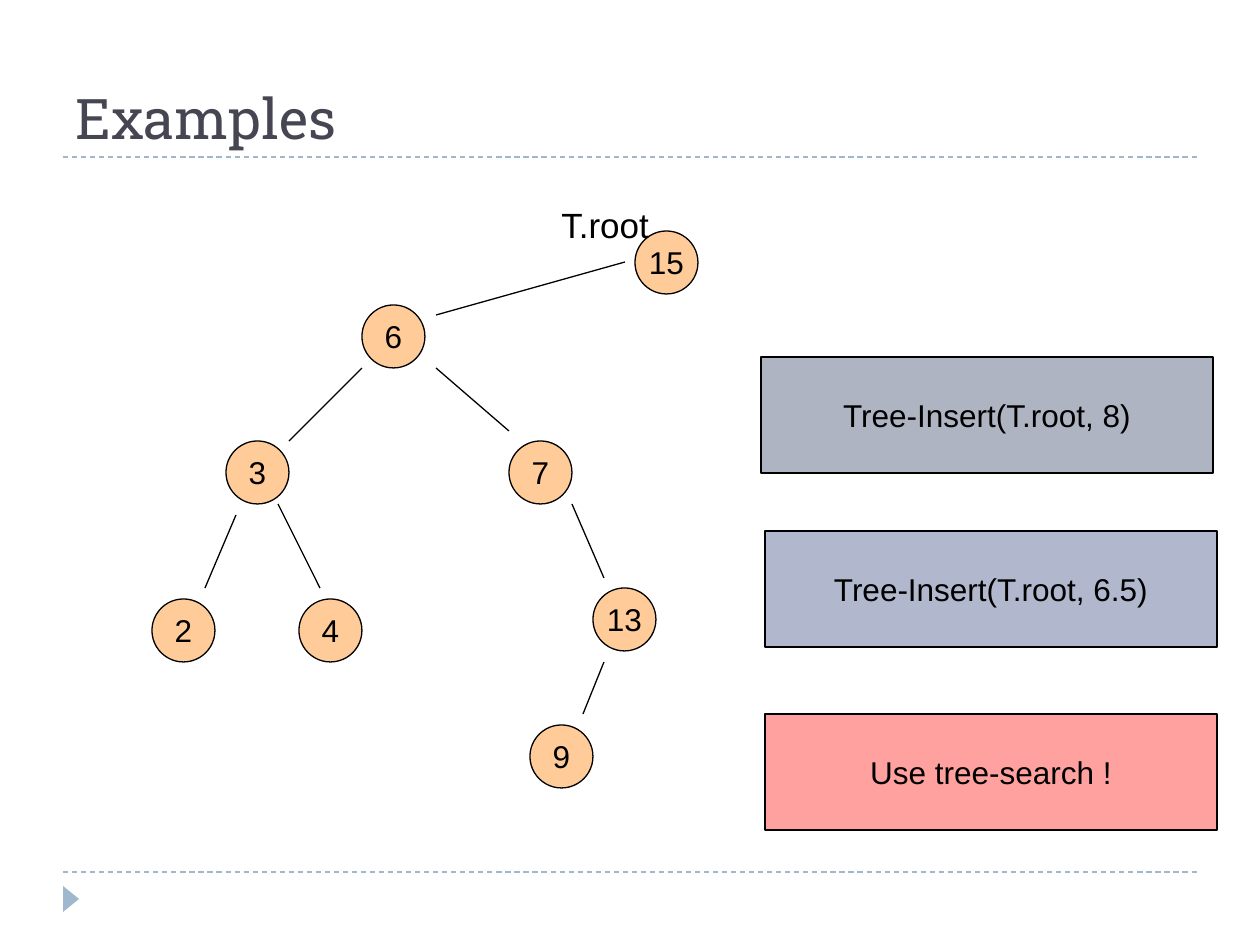
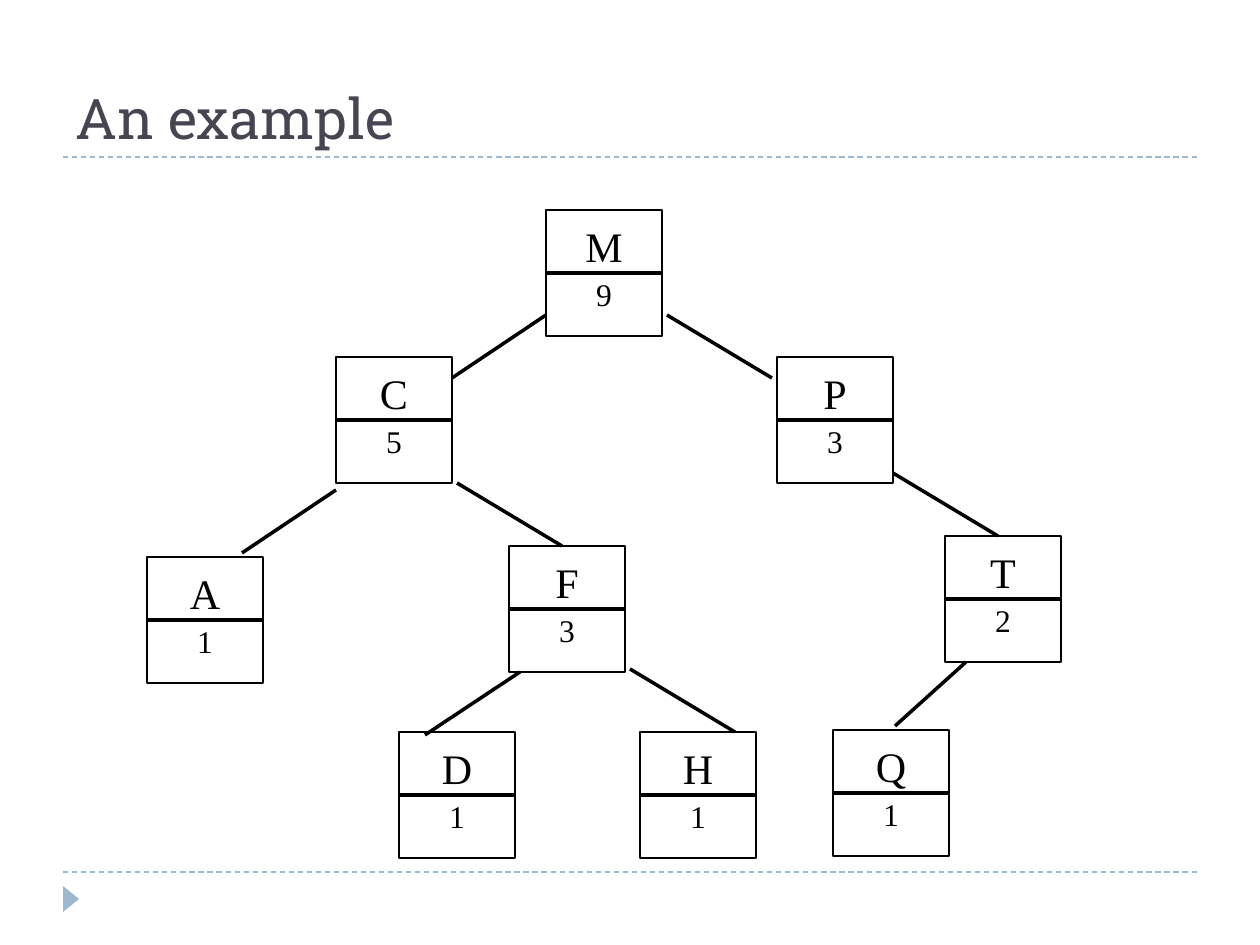
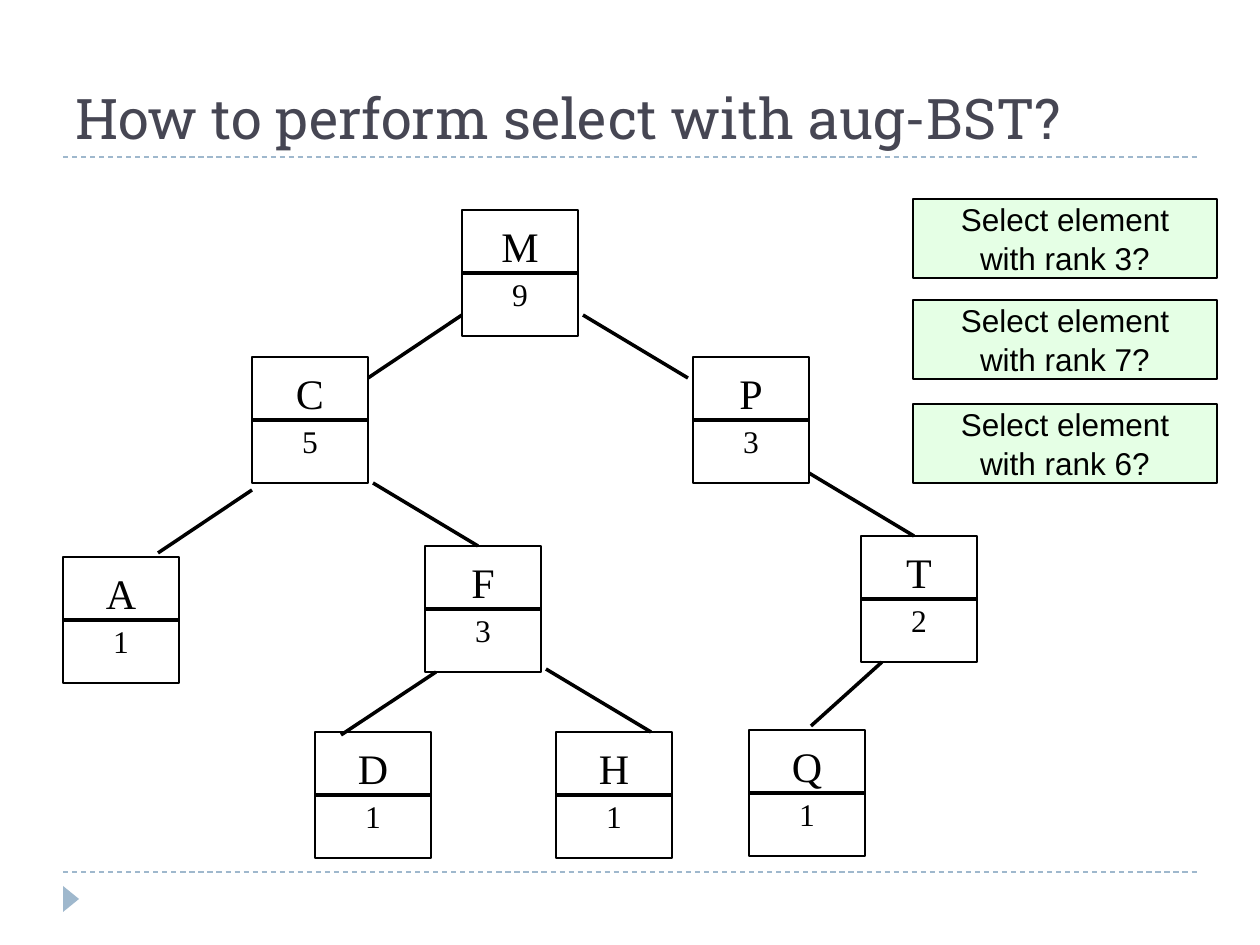
from dataclasses import dataclass

from lxml import etree
from pptx import Presentation
from pptx.dml.color import RGBColor
from pptx.enum.dml import MSO_LINE_DASH_STYLE
from pptx.enum.shapes import MSO_CONNECTOR, MSO_SHAPE
from pptx.enum.text import MSO_ANCHOR, PP_ALIGN
from pptx.oxml.ns import qn
from pptx.util import Pt

STRAIGHT = MSO_CONNECTOR.STRAIGHT
DASH = MSO_LINE_DASH_STYLE.DASH
RECTANGLE, OVAL, TRIANGLE = (
    MSO_SHAPE.RECTANGLE, MSO_SHAPE.OVAL, MSO_SHAPE.ISOSCELES_TRIANGLE)
TOP, MIDDLE, BOTTOM = MSO_ANCHOR.TOP, MSO_ANCHOR.MIDDLE, MSO_ANCHOR.BOTTOM
LEFT, CENTER = PP_ALIGN.LEFT, PP_ALIGN.CENTER
LEFT_SIDE, RIGHT_SIDE = 1, 3
PX_PER_INCH = 126


@dataclass(frozen=True)
class Theme:
    title: str = "464653"
    accent: str = "9FB8CD"
    ink: str = "000000"
    paper: str = "FFFFFF"
    node: str = "FFCC99"
    insert_grey: str = "6E7792"
    insert_blue: str = "727CA3"
    hint: str = "FF5751"
    question: str = "CCFFCC"
    title_font: str = "Roboto Slab"
    body_font: str = "Arial"
    key_font: str = "Times New Roman"
    title_size: int = 32
    key_size: int = 24
    label_size: int = 20
    body_size: int = 18
    thin: float = 0.75
    outline: float = 1.5
    thick: float = 2


THEME = Theme()

# Search tree: key -> left, top
SEARCH_NODES = {
    "15": (635, 231), "3": (226, 441), "2": (152, 599), "6": (362, 305),
    "4": (299, 599), "7": (509, 441), "13": (593, 588), "9": (530, 725),
}
SEARCH_EDGES = [
    (625, 262, 436, 315), (362, 368, 289, 441), (236, 515, 205, 588),
    (278, 504, 320, 588), (436, 368, 509, 431), (572, 504, 604, 578),
    (604, 662, 583, 714),
]

# Augmented tree: key -> subtree size, left, top
SIZED_NODES = {
    "M": (9, 546, 210), "C": (5, 336, 357), "A": (1, 147, 557),
    "F": (3, 509, 546), "D": (1, 399, 732), "H": (1, 640, 732),
    "P": (3, 777, 357), "T": (2, 945, 536), "Q": (1, 833, 730),
}
SIZED_EDGES = [
    (546, 315, 452, 378), (336, 490, 242, 553), (520, 672, 425, 735),
    (667, 315, 772, 378), (893, 473, 998, 536), (966, 662, 895, 726),
    (630, 669, 735, 732), (457, 483, 562, 546),
]


def px(length):
    return round(length * 914400 / PX_PER_INCH)


def rgb(code):
    return RGBColor.from_string(code)


def write_text(shape, lines, sizes=(THEME.body_size,), font=THEME.body_font,
               color=THEME.ink, align=CENTER, anchor=MIDDLE, wrap=False,
               gap=0, top_inset=6):
    """Write one paragraph per line; the last size serves the remaining lines."""
    frame = shape.text_frame
    frame.word_wrap = wrap
    frame.vertical_anchor = anchor
    frame.margin_top = px(top_inset)
    for index, line in enumerate(lines):
        paragraph = frame.add_paragraph() if index else frame.paragraphs[0]
        paragraph.alignment = align
        if index and gap:
            paragraph.space_before = Pt(gap)
        run = paragraph.add_run()
        run.text = line
        run.font.name = font
        run.font.size = Pt(sizes[min(index, len(sizes) - 1)])
        run.font.color.rgb = rgb(color)


def add_text(slide, text, left, top, width, height, **text_format):
    box = slide.shapes.add_textbox(px(left), px(top), px(width), px(height))
    write_text(box, [text], align=LEFT, **text_format)


def add_filled(shapes, kind, left, top, width, height, fill,
               line_width=THEME.thin, opacity=None):
    shape = shapes.add_shape(kind, px(left), px(top), px(width), px(height))
    shape.shadow.inherit = False
    shape.fill.solid()
    shape.fill.fore_color.rgb = rgb(fill)
    if opacity is not None:
        color = shape.fill._xPr.find(f".//{qn('a:srgbClr')}")
        etree.SubElement(color, qn("a:alpha"), val=str(opacity * 1000))
    if line_width:
        shape.line.color.rgb = rgb(THEME.ink)
        shape.line.width = Pt(line_width)
    else:
        shape.line.fill.background()
    return shape


def add_line(shapes, x1, y1, x2, y2, width, color=THEME.ink, dash=None):
    line = shapes.add_connector(STRAIGHT, px(x1), px(y1), px(x2), px(y2))
    line.line.color.rgb = rgb(color)
    line.line.width = Pt(width)
    if dash:
        line.line.dash_style = dash
    etree.SubElement(line._element.spPr, qn("a:effectLst"))
    return line


def add_titled_slide(deck, title):
    slide = deck.slides.add_slide(deck.slide_layouts[6])
    # Rules above and below the content, and the footer marker
    for y in (872, 157):
        add_line(slide.shapes, 63, y, 1197, y, THEME.thin, THEME.accent, DASH)
    marker = add_filled(slide.shapes, TRIANGLE, 58, 891, 26, 16, THEME.accent,
                        line_width=0)
    marker.rotation = 90
    add_text(slide, title, 63, 21, 1134, 136, sizes=(THEME.title_size,),
             font=THEME.title_font, color=THEME.title, anchor=BOTTOM, wrap=True)
    return slide


def add_callout(slide, lines, left, top, width, height, fill, opacity):
    callout = add_filled(slide.shapes, RECTANGLE, left, top, width, height,
                         fill, opacity=opacity)
    write_text(callout, lines, gap=1)


def add_sized_node(slide, key, size, left, top):
    width, height = 116, 126
    node = slide.shapes.add_group_shape().shapes
    box = add_filled(node, RECTANGLE, left, top, width, height, THEME.paper,
                     THEME.outline)
    write_text(box, [key, str(size)], sizes=(THEME.key_size, THEME.body_size),
               font=THEME.key_font, anchor=TOP, wrap=True, gap=2, top_inset=11)
    middle = top + height // 2
    divider = add_line(node, left, middle, left + width, middle, THEME.thick)
    divider.begin_connect(box, LEFT_SIDE)
    divider.end_connect(box, RIGHT_SIDE)


def add_sized_tree(slide, shift=0):
    for key, (size, left, top) in SIZED_NODES.items():
        add_sized_node(slide, key, size, left + shift, top)
    for x1, y1, x2, y2 in SIZED_EDGES:
        add_line(slide.shapes, x1 + shift, y1, x2 + shift, y2, THEME.thick)


def add_search_tree(slide):
    for key, (left, top) in SEARCH_NODES.items():
        node = add_filled(slide.shapes, OVAL, left, top, 63, 63, THEME.node)
        write_text(node, [key])
    for edge in SEARCH_EDGES:
        add_line(slide.shapes, *edge, THEME.thin)
    add_text(slide, "T.root", 549, 195, 199, 55, sizes=(THEME.label_size,),
             anchor=TOP, wrap=True, top_inset=8)


def main():
    deck = Presentation()
    deck.slide_width, deck.slide_height = px(1260), px(945)

    # Insertion into a search tree
    insertion = add_titled_slide(deck, "Examples")
    add_search_tree(insertion)
    for task, left, top, fill in (
            ("Tree-Insert(T.root, 8)", 761, 357, THEME.insert_grey),
            ("Tree-Insert(T.root, 6.5)", 765, 531, THEME.insert_blue),
            ("Use tree-search !", 765, 714, THEME.hint)):
        add_callout(insertion, [task], left, top, 452, 116, fill, 55)

    # Tree augmented with subtree sizes
    add_sized_tree(add_titled_slide(deck, "An example"))

    # Selection by rank
    selection = add_titled_slide(deck, "How to perform select with aug-BST?")
    add_sized_tree(selection, shift=-84)
    for rank, top in ((3, 199), (7, 300), (6, 404)):
        add_callout(selection, ["Select element", f"with rank {rank}?"],
                    913, top, 304, 79, THEME.question, 51)

    deck.save("out.pptx")


if __name__ == "__main__":
    main()
